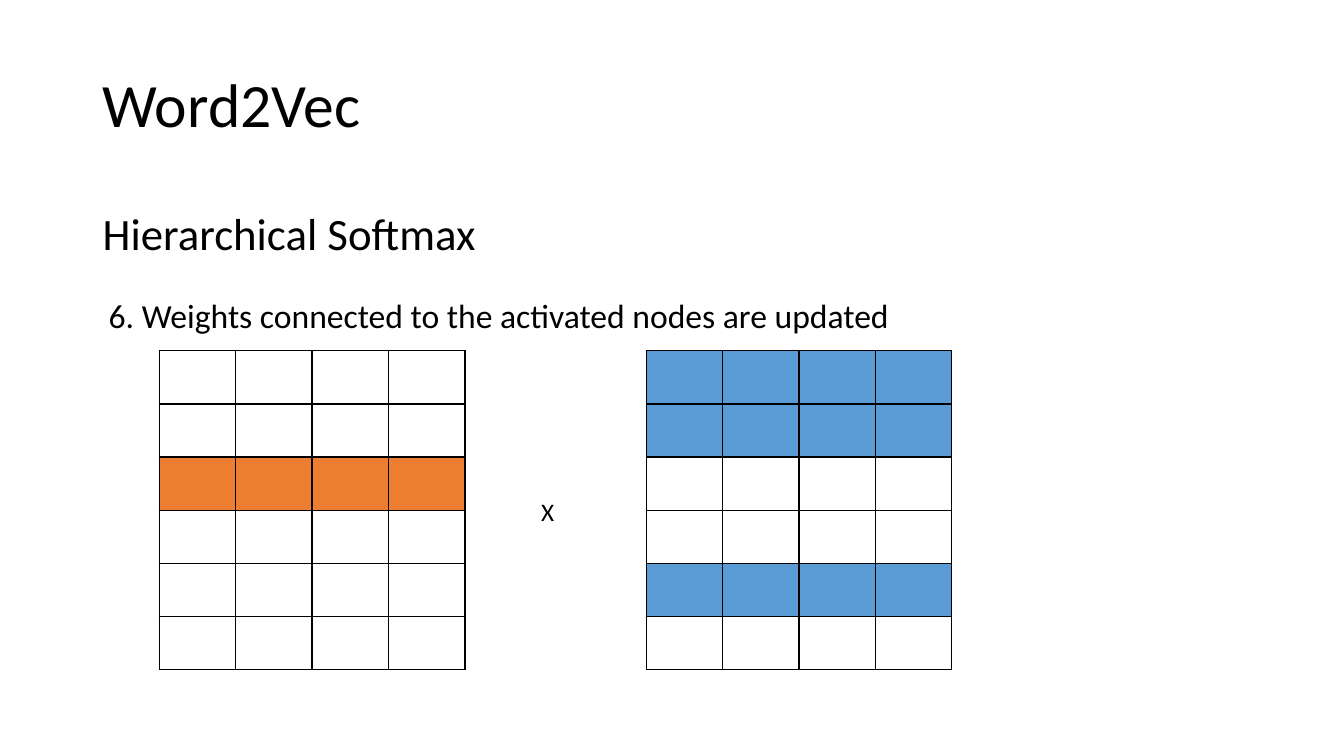
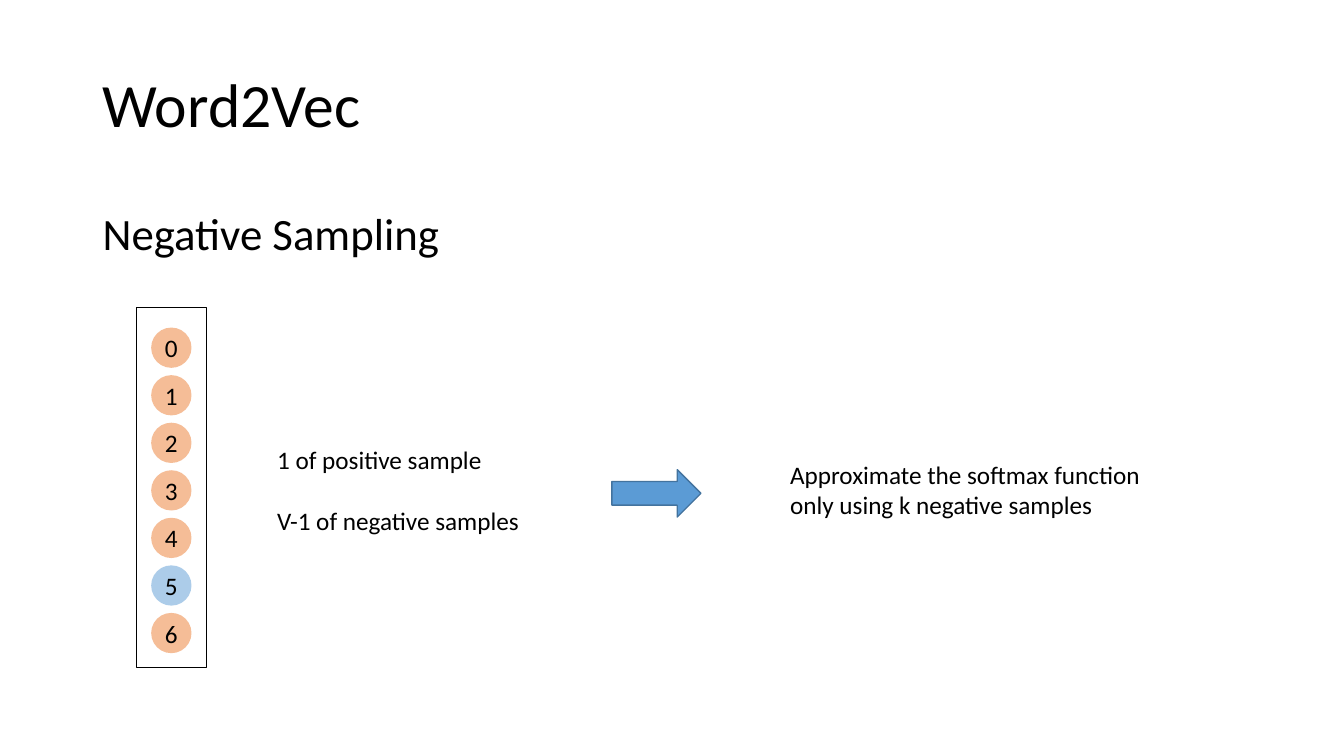
"""Build two Word2Vec slides: hierarchical softmax and negative sampling."""
from dataclasses import dataclass
from typing import Any

from lxml.etree import SubElement
from pptx import Presentation
from pptx.dml.color import RGBColor
from pptx.enum.shapes import MSO_SHAPE
from pptx.enum.text import MSO_ANCHOR, PP_ALIGN
from pptx.oxml.ns import qn
from pptx.util import Inches, Pt

COLORS = {
    "ink": "000000",
    "paper": "FFFFFF",
    "orange": "ED7D31",
    "blue": "5B9BD5",
    "arrow_edge": "43739E",
}
FONT = "Calibri"
SLIDE_WIDTH, SLIDE_HEIGHT = Inches(13.33), Inches(7.5)
NO_INSETS = dict.fromkeys(
    ("margin_left", "margin_right", "margin_top", "margin_bottom"), 0
)


@dataclass(frozen=True)
class Area:
    """A rectangle in percent of the slide's width and height."""

    left: float
    top: float
    width: float
    height: float

    def emu(self) -> tuple[int, int, int, int]:
        """Return left, top, width and height in slide units."""
        return (
            round(self.left * SLIDE_WIDTH / 100),
            round(self.top * SLIDE_HEIGHT / 100),
            round(self.width * SLIDE_WIDTH / 100),
            round(self.height * SLIDE_HEIGHT / 100),
        )


@dataclass(frozen=True)
class Label:
    """Text lines with their place and style."""

    area: Area
    lines: tuple[str, ...]
    size: int = 18
    gap: int = 0
    wrap: bool = False
    anchor: MSO_ANCHOR = MSO_ANCHOR.TOP
    align: PP_ALIGN = PP_ALIGN.LEFT


@dataclass(frozen=True)
class Matrix:
    """A weight matrix whose updated rows are coloured."""

    left: float
    updated_rows: tuple[int, ...]
    color: str


TITLE_AREA = Area(6.9, 4, 86.25, 19.33)
SUBTITLE_AREA = Area(6.9, 26.53, 86.25, 9)
STEP = Label(
    Area(7.35, 38.4, 60.08, 6.67),
    ("6. Weights connected to the activated nodes are updated",),
    size=24,
)
TIMES = Label(Area(39.25, 64.93, 3, 5.33), ("X",), align=PP_ALIGN.CENTER)
MATRICES = (Matrix(11.85, (2,), "orange"), Matrix(48.08, (0, 1, 4), "blue"))
MATRIX_ROWS, MATRIX_COLUMNS = 6, 4
MATRIX_TOP, MATRIX_WIDTH, MATRIX_HEIGHT = 46.4, 22.75, 42.2

VECTOR_AREA = Area(10.13, 40.67, 5.27, 47.6)
NODE_COUNT, POSITIVE_NODE = 7, 5
NODE_LEFT, NODE_TOP, NODE_PITCH = 11.25, 43.33, 6.29
ARROW_AREA = Area(45.53, 62.13, 6.62, 6.27)
SAMPLES = Label(
    Area(19.88, 58.13, 19.8, 13.47),
    ("1 of positive sample", "V-1 of negative samples"),
    gap=22,
)
APPROXIMATION = Label(
    Area(58.05, 60.13, 27.9, 9.47),
    ("Approximate the softmax function", "only using k negative samples"),
)


def rgb(name: str) -> RGBColor:
    """Look up a palette colour."""
    return RGBColor.from_string(COLORS[name])


def apply(target: Any, values: dict[str, Any]) -> None:
    """Set every named attribute on the target."""
    for name, value in values.items():
        setattr(target, name, value)


def write(frame: Any, label: Label) -> None:
    """Fill a text frame with a label's styled lines."""
    apply(frame, {"word_wrap": label.wrap, "vertical_anchor": label.anchor})
    for index, line in enumerate(label.lines):
        paragraph = frame.add_paragraph() if index else frame.paragraphs[0]
        spacing = Pt(label.gap if index else 0)
        apply(paragraph, {"alignment": label.align, "space_before": spacing})
        run = paragraph.add_run()
        run.text = line
        apply(run.font, {"name": FONT, "size": Pt(label.size)})
        run.font.color.rgb = rgb("ink")


def add_label(slide: Any, label: Label) -> None:
    """Place a label in its own text box."""
    write(slide.shapes.add_textbox(*label.area.emu()).text_frame, label)


def add_figure(
    slide: Any,
    kind: MSO_SHAPE,
    area: Area,
    fill: str = "",
    edge: str = "",
    edge_width: float = 0.75,
) -> Any:
    """Draw a preset shape with an optional fill and outline."""
    figure = slide.shapes.add_shape(kind, *area.emu())
    figure.shadow.inherit = False
    if fill:
        figure.fill.solid()
        figure.fill.fore_color.rgb = rgb(fill)
    else:
        figure.fill.background()
    if edge:
        figure.line.color.rgb = rgb(edge)
        figure.line.width = Pt(edge_width)
    else:
        figure.line.fill.background()
    return figure


def add_node(slide: Any, index: int) -> None:
    """Draw one numbered, half-transparent output node."""
    area = Area(NODE_LEFT, NODE_TOP + index * NODE_PITCH, 3, 5.33)
    color = "blue" if index == POSITIVE_NODE else "orange"
    node = add_figure(slide, MSO_SHAPE.OVAL, area, color)
    tint = node.fill._xPr.find(f"{qn('a:solidFill')}/{qn('a:srgbClr')}")
    SubElement(tint, qn("a:alpha"), val="50000")
    apply(node.text_frame, NO_INSETS)
    number = Label(
        area, (str(index),), anchor=MSO_ANCHOR.MIDDLE, align=PP_ALIGN.CENTER
    )
    write(node.text_frame, number)


def border_cell(cell: Any) -> None:
    """Give a cell a thin border on each side."""
    properties = cell._tc.get_or_add_tcPr()
    for position, side in enumerate(("a:lnL", "a:lnR", "a:lnT", "a:lnB")):
        border = properties.makeelement(qn(side), {"w": str(Pt(1))})
        properties.insert(position, border)
        SubElement(
            SubElement(border, qn("a:solidFill")),
            qn("a:srgbClr"),
            val=COLORS["ink"],
        )


def add_matrix(slide: Any, matrix: Matrix) -> None:
    """Draw a weight matrix as an evenly divided table."""
    area = Area(matrix.left, MATRIX_TOP, MATRIX_WIDTH, MATRIX_HEIGHT)
    table = slide.shapes.add_table(
        MATRIX_ROWS, MATRIX_COLUMNS, *area.emu()
    ).table
    apply(table, {"first_row": False, "horz_banding": False})
    for row in range(MATRIX_ROWS):
        color = matrix.color if row in matrix.updated_rows else "paper"
        for column in range(MATRIX_COLUMNS):
            cell = table.cell(row, column)
            cell.fill.solid()
            cell.fill.fore_color.rgb = rgb(color)
            border_cell(cell)


def add_topic_slide(deck: Any, subtitle: str) -> Any:
    """Add a blank slide with the shared title and a subtitle."""
    slide = deck.slides.add_slide(deck.slide_layouts[6])
    add_label(
        slide,
        Label(
            TITLE_AREA,
            ("Word2Vec",),
            size=44,
            wrap=True,
            anchor=MSO_ANCHOR.MIDDLE,
        ),
    )
    add_label(slide, Label(SUBTITLE_AREA, (subtitle,), size=32, wrap=True))
    return slide


def build_softmax(deck: Any) -> None:
    """Show which weights are updated."""
    slide = add_topic_slide(deck, "Hierarchical Softmax")
    add_label(slide, STEP)
    for matrix in MATRICES:
        add_matrix(slide, matrix)
    add_label(slide, TIMES)


def build_sampling(deck: Any) -> None:
    """Show the output vector and its sampled approximation."""
    slide = add_topic_slide(deck, "Negative Sampling")
    add_figure(slide, MSO_SHAPE.RECTANGLE, VECTOR_AREA, edge="ink")
    for index in range(NODE_COUNT):
        add_node(slide, index)
    add_label(slide, SAMPLES)
    add_figure(
        slide, MSO_SHAPE.RIGHT_ARROW, ARROW_AREA, "blue", "arrow_edge", 1
    )
    add_label(slide, APPROXIMATION)


def main() -> None:
    """Build and save the deck."""
    deck = Presentation()
    apply(deck, {"slide_width": SLIDE_WIDTH, "slide_height": SLIDE_HEIGHT})
    build_softmax(deck)
    build_sampling(deck)
    deck.save("out.pptx")


if __name__ == "__main__":
    main()
